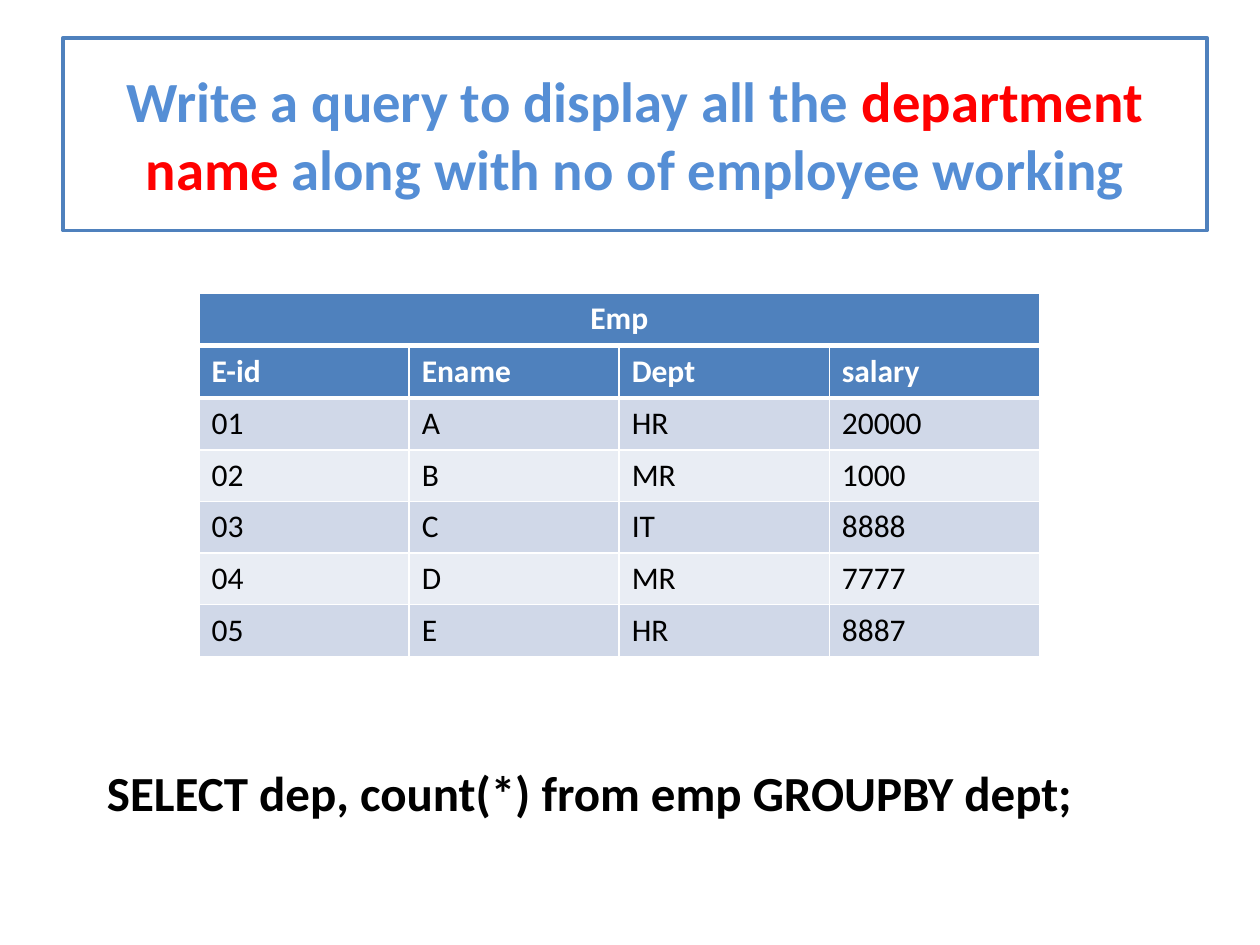
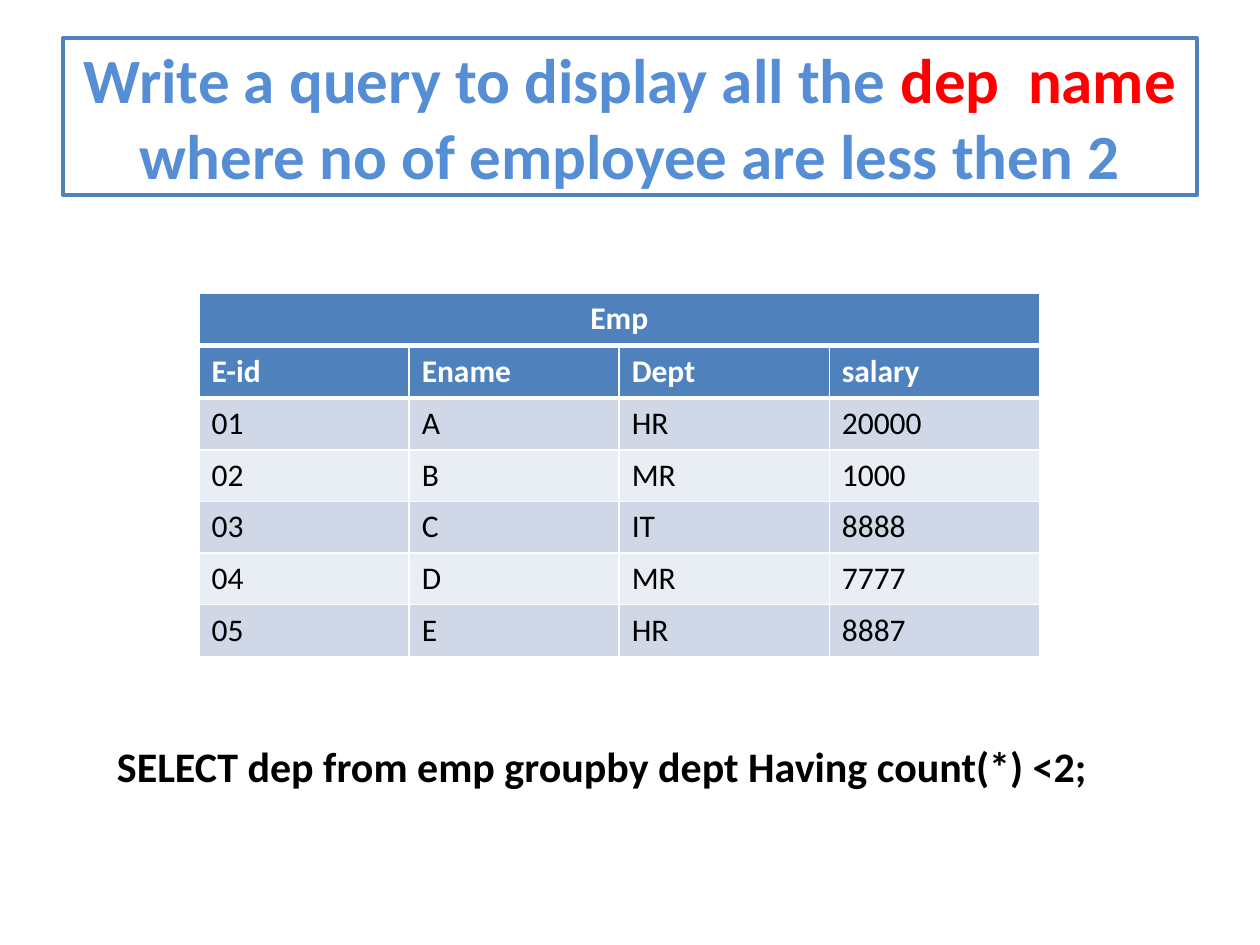
from dataclasses import dataclass

from lxml.etree import SubElement
from pptx import Presentation
from pptx.dml.color import RGBColor
from pptx.enum.shapes import MSO_SHAPE
from pptx.enum.text import MSO_ANCHOR, MSO_AUTO_SIZE, PP_ALIGN
from pptx.oxml.ns import qn
from pptx.slide import Slide
from pptx.table import _Cell as Cell
from pptx.text.text import _Paragraph as Para
from pptx.util import Inches, Pt

FONT = "Calibri"
HUES = {
    "white": "FFFFFF",
    "black": "000000",
    "blue": "4F81BD",
    "title": "558ED5",
    "red": "FF0000",
    "dark": "D0D8E8",
    "light": "E9EDF4",
}
LEFT, WIDTH, ROW = 1.58, 6.67, 0.41
HEADS = ["E-id", "Ename", "Dept", "salary"]
STAFF = [
    ["01", "A", "HR", "20000"],
    ["02", "B", "MR", "1000"],
    ["03", "C", "IT", "8888"],
    ["04", "D", "MR", "7777"],
    ["05", "E", "HR", "8887"],
]


@dataclass(frozen=True)
class Box:
    left: float
    top: float
    width: float
    height: float

    def spots(self) -> list[Inches]:
        return [Inches(n) for n in (self.left, self.top, self.width, self.height)]


@dataclass(frozen=True)
class Page:
    frame: Box
    size: float
    task: list[tuple[str, str]]
    place: Box
    query: str
    points: float


PAGES = [
    Page(
        Box(0.5, 0.3, 9.08, 1.53),
        32.4,
        [
            ("Write a query to display all the ", "title"),
            ("department name ", "red"),
            ("along with no of employee working", "title"),
        ],
        Box(0.75, 6, 8.58, 0.57),
        "SELECT dep, count(*) from emp GROUPBY dept;",
        28,
    ),
    Page(
        Box(0.5, 0.3, 9, 1.25),
        36,
        [
            ("Write a query to display all the ", "title"),
            ("dep  name ", "red"),
            ("where no of employee are less then 2", "title"),
        ],
        Box(0.83, 5.83, 8.42, 0.5),
        "SELECT dep from emp groupby dept Having count(*) <2;",
        24,
    ),
]


def shade(name: str) -> RGBColor:
    return RGBColor.from_string(HUES[name])


def add_run(para: Para, text: str, size: float, hue: str, bold: bool = True) -> None:
    run = para.add_run()
    run.text = text
    run.font.name = FONT
    run.font.size = Pt(size)
    run.font.bold = bold
    run.font.color.rgb = shade(hue)


def add_edges(cell: Cell, top: float, base: float) -> None:
    props = cell._tc.get_or_add_tcPr()
    edges = {"a:lnL": 1, "a:lnR": 1, "a:lnT": top, "a:lnB": base}
    for place, (tag, width) in enumerate(edges.items()):
        line = SubElement(props, qn(tag), w=str(Pt(width)))
        fill = SubElement(line, qn("a:solidFill"))
        SubElement(fill, qn("a:srgbClr"), val=HUES["white"])
        props.insert(place, line)


def add_grid(slide: Slide, top: float, rows: list[list[str]], align: PP_ALIGN) -> None:
    box = Box(LEFT, top, WIDTH, ROW * len(rows))
    table = slide.shapes.add_table(len(rows), len(rows[0]), *box.spots()).table
    table.first_row = table.horz_banding = False
    for line in table.rows:
        line.height = Inches(ROW)
    for y, row in enumerate(rows):
        head = y == 0
        back = "blue" if head else "dark" if y % 2 else "light"
        for x, text in enumerate(row):
            cell = table.cell(y, x)
            cell.fill.solid()
            cell.fill.fore_color.rgb = shade(back)
            add_edges(cell, 3 if y == 1 else 1, 3 if head else 1)
            para = cell.text_frame.paragraphs[0]
            para.alignment = align
            add_run(para, text, 18, "white" if head else "black", head)


def add_title(slide: Slide, page: Page) -> None:
    shape = slide.shapes.add_shape(MSO_SHAPE.RECTANGLE, *page.frame.spots())
    shape.shadow.inherit = False
    shape.fill.solid()
    shape.fill.fore_color.rgb = shade("white")
    shape.line.color.rgb = shade("blue")
    shape.line.width = Pt(2)
    frame = shape.text_frame
    frame.word_wrap = True
    frame.vertical_anchor = MSO_ANCHOR.MIDDLE
    para = frame.paragraphs[0]
    para.alignment = PP_ALIGN.CENTER
    for text, hue in page.task:
        add_run(para, text, page.size, hue)


def add_query(slide: Slide, page: Page) -> None:
    frame = slide.shapes.add_textbox(*page.place.spots()).text_frame
    frame.word_wrap = True
    frame.auto_size = MSO_AUTO_SIZE.SHAPE_TO_FIT_TEXT
    add_run(frame.paragraphs[0], page.query, page.points, "black")


def main() -> None:
    deck = Presentation()
    deck.slide_width, deck.slide_height = Inches(10), Inches(7.5)
    for page in PAGES:
        slide = deck.slides.add_slide(deck.slide_layouts[6])
        add_title(slide, page)
        add_grid(slide, 2.75, [HEADS, *STAFF], PP_ALIGN.LEFT)
        add_grid(slide, 2.33, [["Emp"]], PP_ALIGN.CENTER)
        add_query(slide, page)
    deck.save("out.pptx")


if __name__ == "__main__":
    main()
